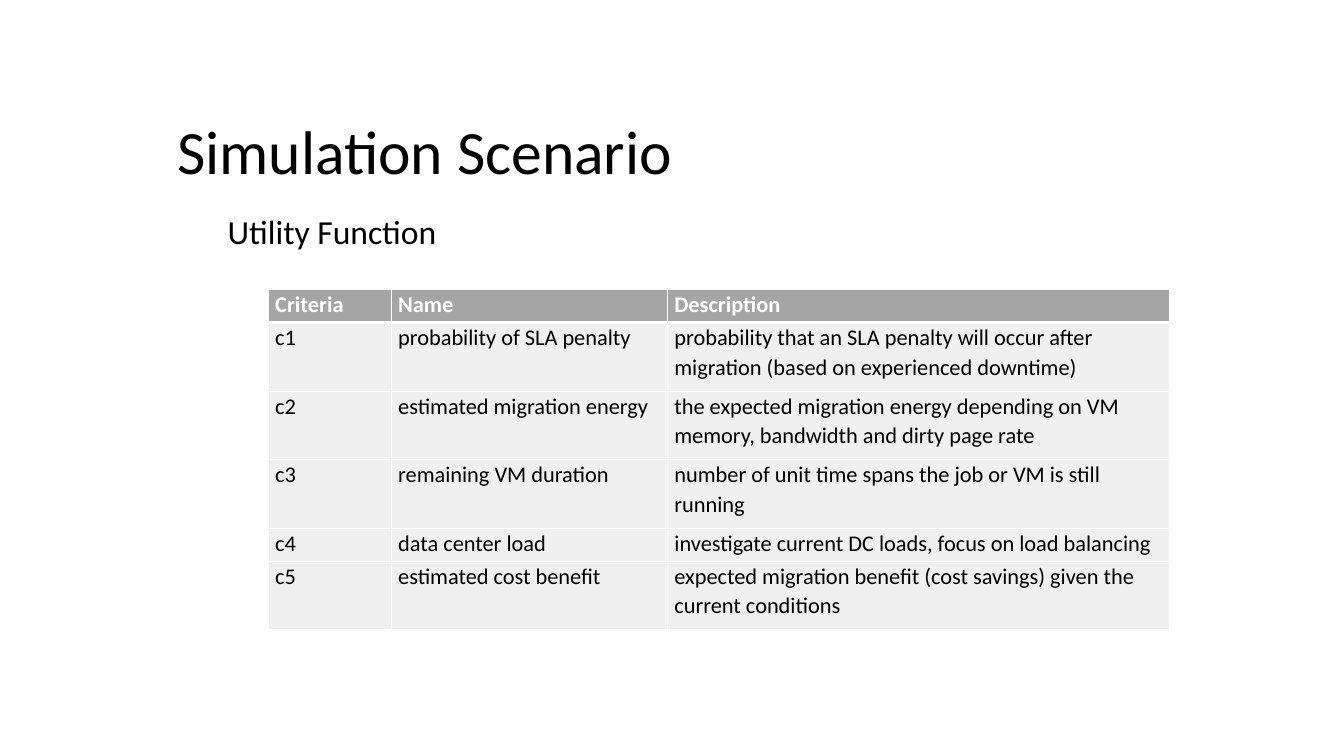
from lxml import etree
from pptx import Presentation
from pptx.dml.color import RGBColor
from pptx.enum.text import MSO_ANCHOR
from pptx.oxml.ns import qn
from pptx.util import Inches, Pt

MIDDLE, TOP = MSO_ANCHOR.MIDDLE, MSO_ANCHOR.TOP
FONT = "Calibri"
BLACK, WHITE, HEADER_GRAY, BODY_GRAY = "000000", "FFFFFF", "A5A5A5", "F0F0F0"


def color(hex_string):
    return RGBColor.from_string(hex_string)


def write(text_frame, text, size, line_spacing, hex_string=BLACK, bold=False):
    text_frame.word_wrap = True
    paragraph = text_frame.paragraphs[0]
    paragraph.line_spacing = line_spacing
    run = paragraph.add_run()
    run.text = text
    run.font.name = FONT
    run.font.size = Pt(size)
    run.font.bold = bold
    run.font.color.rgb = color(hex_string)
    return paragraph


presentation = Presentation()
presentation.slide_width = Inches(13.33)
presentation.slide_height = Inches(7.5)
slide = presentation.slides.add_slide(presentation.slide_layouts[6])

# Title
title = slide.shapes.add_textbox(Inches(1.66), Inches(0.57), Inches(10.96), Inches(1.92))
title.text_frame.vertical_anchor = MIDDLE
write(title.text_frame, "Simulation Scenario", 44, 0.9)

# Subtitle, indented below the title
subtitle = slide.shapes.add_textbox(Inches(1.66), Inches(2.09), Inches(9.43), Inches(5.18))
subtitle.text_frame.vertical_anchor = TOP
paragraph = write(subtitle.text_frame, "Utility Function", 24, 0.9)
paragraph.space_before = Pt(5)
paragraph_properties = paragraph._p.get_or_add_pPr()
paragraph_properties.set("marL", str(Inches(0.5)))
paragraph_properties.set("indent", "0")

# Criteria table
rows = [
    ("Criteria", "Name", "Description"),
    ("c1", "probability of SLA penalty",
     "probability that an SLA penalty will occur after migration (based on experienced downtime)"),
    ("c2", "estimated migration energy",
     "the expected migration energy depending on VM memory, bandwidth and dirty page rate"),
    ("c3", "remaining VM duration",
     "number of unit time spans the job or VM is still running"),
    ("c4", "data center load",
     "investigate current DC loads, focus on load balancing"),
    ("c5", "estimated cost benefit",
     "expected migration benefit (cost savings) given the current conditions"),
]
column_widths = [1.22, 2.74, 4.98]
row_heights = [0.33, 0.68, 0.68, 0.68, 0.33, 0.68]
table = slide.shapes.add_table(
    len(rows), len(column_widths), Inches(2.66), Inches(2.87),
    Inches(sum(column_widths)), Inches(sum(row_heights))).table
for column, width in zip(table.columns, column_widths):
    column.width = Inches(width)

for row_index, (texts, height) in enumerate(zip(rows, row_heights)):
    table.rows[row_index].height = Inches(height)
    is_header = row_index == 0
    for column_index, text in enumerate(texts):
        cell = table.cell(row_index, column_index)
        cell.margin_left = cell.margin_right = Inches(0.07)
        cell.margin_top = cell.margin_bottom = 0
        write(cell.text_frame, text, 16, 1.07, WHITE if is_header else BLACK, is_header)

        # White borders, thicker below the header; they precede the fill in the XML
        cell_properties = cell._tc.get_or_add_tcPr()
        thick_side = {0: "lnB", 1: "lnT"}.get(row_index)
        for side in ("lnL", "lnR", "lnT", "lnB"):
            line_width = Pt(3 if side == thick_side else 1)
            line = etree.SubElement(cell_properties, qn(f"a:{side}"), w=str(line_width))
            line_fill = etree.SubElement(line, qn("a:solidFill"))
            etree.SubElement(line_fill, qn("a:srgbClr"), val=WHITE)
        cell.fill.solid()
        cell.fill.fore_color.rgb = color(HEADER_GRAY if is_header else BODY_GRAY)

presentation.save("out.pptx")
